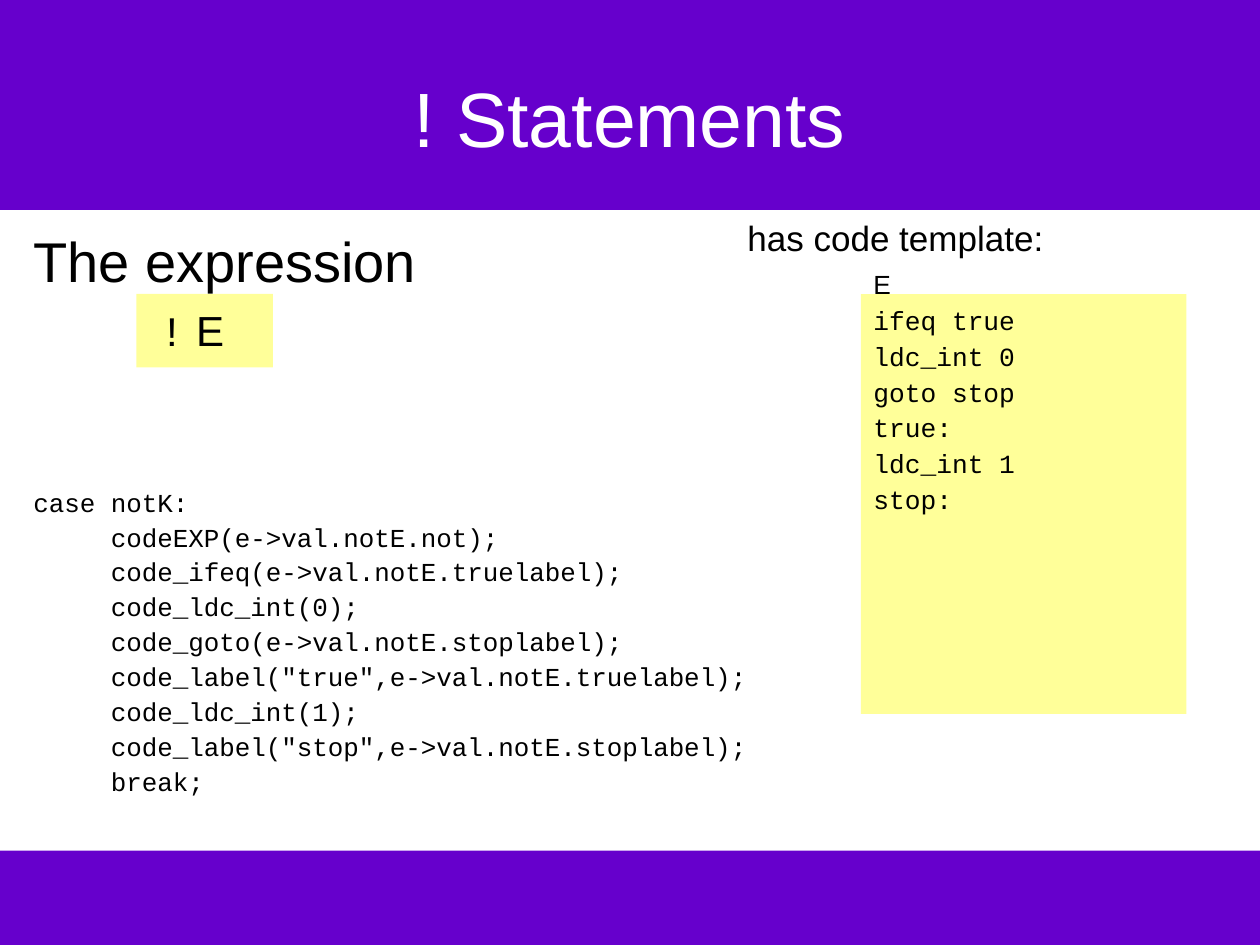
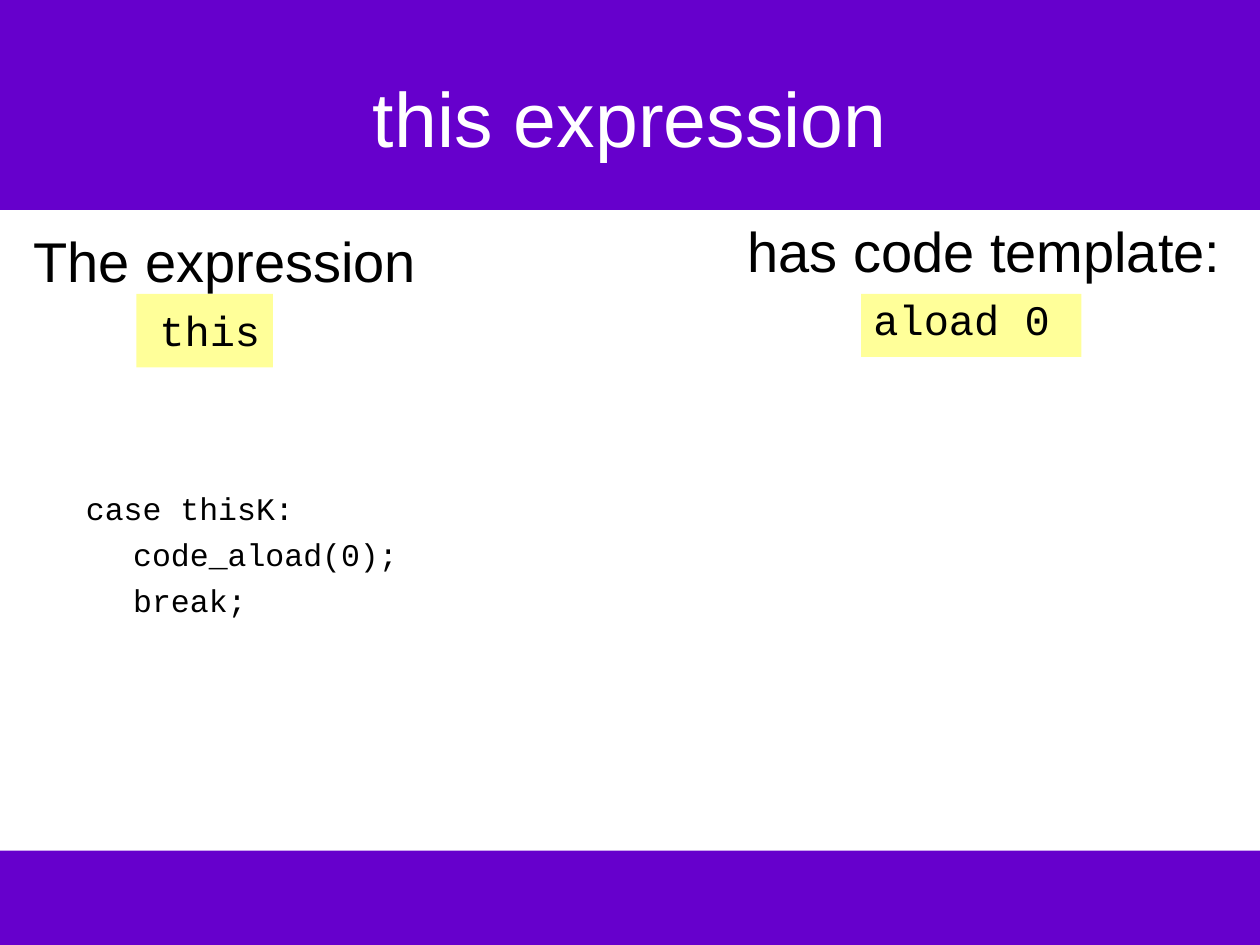
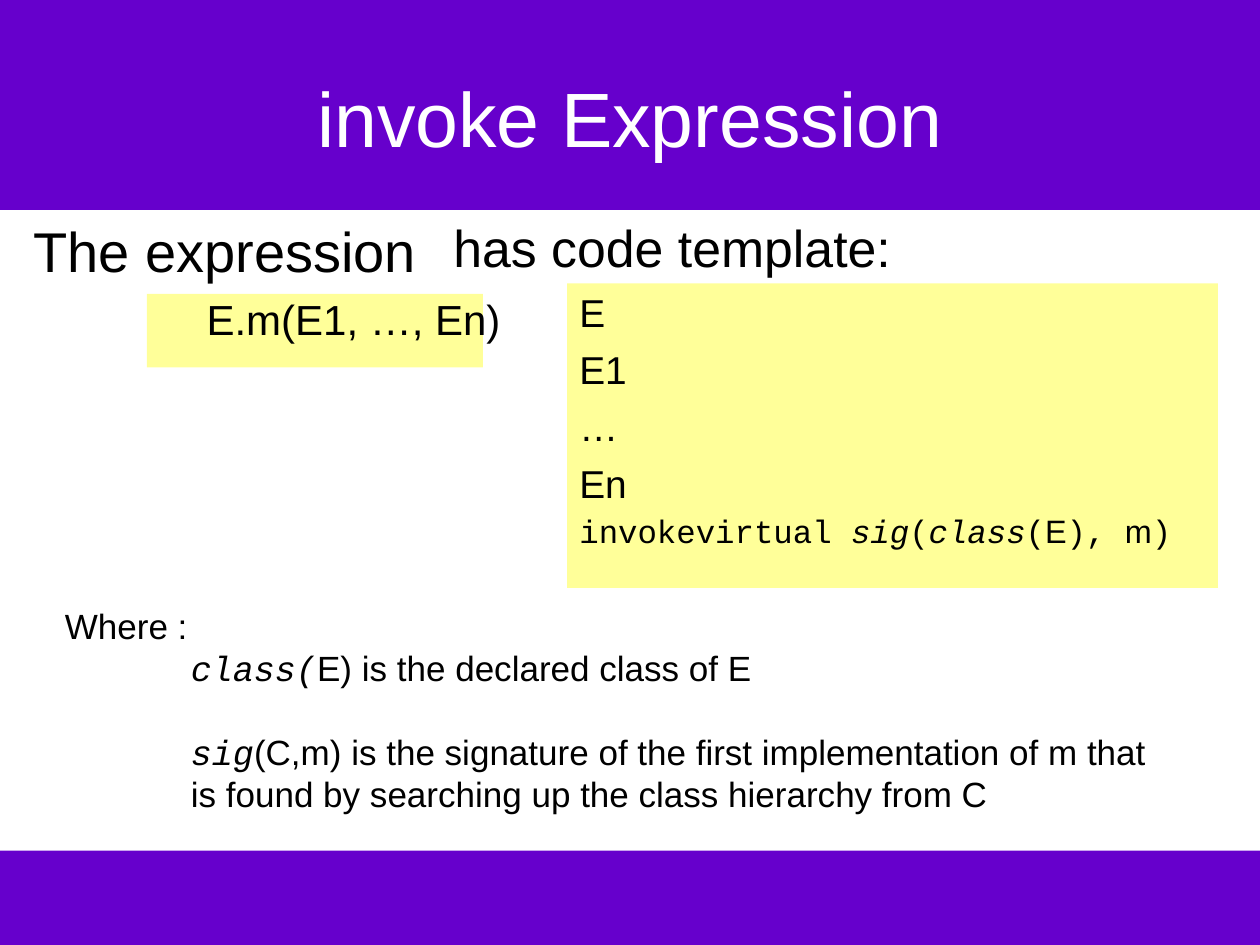
from dataclasses import dataclass

import pptx
import pptx.dml.color
import pptx.enum.shapes
import pptx.enum.text
import pptx.util

Pt = pptx.util.Pt

PURPLE = "6600CC"
YELLOW = "FFFF99"
BLACK = "000000"
WHITE = "FFFFFF"
SANS = "Arial"
MONO = "Courier New"
LINE_HEIGHT = 1.2
TEMPLATE_INDENT = 72


@dataclass(frozen=True)
class Box:
    left: float
    top: float
    width: float
    height: float

    def lengths(self) -> tuple:
        return Pt(self.left), Pt(self.top), Pt(self.width), Pt(self.height)


@dataclass(frozen=True)
class Piece:
    text: str
    font: str = SANS
    italic: bool = False


@dataclass(frozen=True)
class Line:
    pieces: tuple[Piece, ...]
    size: float
    before: float = 0
    indent: float = 0
    spacing: float = 1


@dataclass(frozen=True)
class Block:
    box: Box
    lines: list[Line]


@dataclass(frozen=True)
class Page:
    title: str
    panels: list[Box]
    blocks: list[Block]


TOP_BAND = Box(0, 0, 720, 120)
BOTTOM_BAND = Box(0, 486, 720, 54)
TITLE = Box(36, 21.6, 648, 90)
EXPRESSION = Box(12, 126, 318, 356)
TEMPLATE = Box(420, 120, 288, 198)
SHORT_EXPRESSION_PANEL = Box(78, 168, 78, 42)


def heading(text: str, size: float = 32) -> Line:
    return Line((Piece(text),), size)


def nested(pieces: tuple[Piece, ...], size: float, before: float = 6,
           spacing: float = 1) -> Line:
    return Line(pieces, size, before, TEMPLATE_INDENT, spacing)


def code(text: str) -> tuple[Piece, ...]:
    return (Piece(text, MONO),)


NOT_CODE = """case notK:
     codeEXP(e->val.notE.not);
     code_ifeq(e->val.notE.truelabel);
     code_ldc_int(0);
     code_goto(e->val.notE.stoplabel);
     code_label("true",e->val.notE.truelabel);
     code_ldc_int(1);
     code_label("stop",e->val.notE.stoplabel);
     break;""".split("\n")
NOT_TEMPLATE = ["ifeq true", "ldc_int 0", "goto stop", "true:", "ldc_int 1", "stop:"]

INVOKE = (
    Piece("invokevirtual ", MONO), Piece("sig", MONO, True), Piece("(", MONO),
    Piece("class", MONO, True), Piece("(", MONO), Piece("E"),
    Piece("), ", MONO), Piece("m"), Piece(")", MONO),
)

PAGES = [
    Page(
        "! Statements",
        [Box(492, 168, 186, 240), SHORT_EXPRESSION_PANEL],
        [
            Block(TEMPLATE, [
                heading("has code template:", 20),
                nested((Piece("E"),), 15),
                *(nested(code(text), 15, spacing=0.8) for text in NOT_TEMPLATE),
            ]),
            Block(EXPRESSION, [
                heading("The expression"),
                nested((Piece("!", MONO), Piece(" E")), 24),
            ]),
            Block(Box(12, 276, 522, 204), [
                Line(code(text), 14.8, 4 if row else 0, spacing=0.9)
                for row, text in enumerate(NOT_CODE)
            ]),
        ],
    ),
    Page(
        "this expression",
        [Box(492, 168, 126, 36), SHORT_EXPRESSION_PANEL],
        [
            Block(TEMPLATE, [heading("has code template:"), nested(code("aload 0"), 24)]),
            Block(EXPRESSION, [heading("The expression"), nested(code("this"), 24)]),
            Block(Box(42, 276, 522, 204), [
                Line(code("case thisK:"), 18),
                *(Line(code(text), 18, 4.5, 27) for text in ("code_aload(0);", "break;")),
            ]),
        ],
    ),
    Page(
        "invoke Expression",
        [Box(84, 168, 192, 42), Box(324, 162, 372, 174)],
        [
            Block(Box(12, 120, 318, 356), [
                heading("The expression"),
                Line((Piece("E.m(E1, …, En)"),), 24, 6, 99),
            ]),
            Block(Box(252, 120, 468, 198), [
                heading("has code template:", 29.6),
                *(nested((Piece(text),), 22.2) for text in ("E", "E1", "…", "En")),
                nested(INVOKE, 18.5, 5, 0.9),
            ]),
            Block(Box(30, 342, 660, 127.4), [
                heading("Where :", 20),
                Line((Piece("class(", MONO, True),
                      Piece("E) is the declared class of E")), 20, 0, 72),
                Line((Piece("sig", MONO, True),
                      Piece("(C,m) is the signature of the first implementation of m that")),
                     20, 24, 72),
                Line((Piece("is found by searching up the class hierarchy from C"),), 20, 0, 72),
            ]),
        ],
    ),
]


def rgb(value: str) -> pptx.dml.color.RGBColor:
    return pptx.dml.color.RGBColor.from_string(value)


def apply(target, values: dict) -> None:
    for name, value in values.items():
        setattr(target, name, value)


def add_panel(slide, box: Box, color: str):
    panel = slide.shapes.add_shape(pptx.enum.shapes.MSO_SHAPE.RECTANGLE, *box.lengths())
    panel.shadow.inherit = False
    panel.fill.solid()
    panel.fill.fore_color.rgb = rgb(color)
    panel.line.fill.background()
    return panel


def add_bands(slide, layout) -> None:
    """Draw the bands on a slide and move them behind everything on its layout."""
    for band in (TOP_BAND, BOTTOM_BAND):
        layout.shapes._spTree.insert(2, add_panel(slide, band, PURPLE)._element)


def write_line(paragraph, line: Line, color: str) -> None:
    apply(paragraph, {
        "space_before": Pt(line.before),
        "space_after": Pt(0),
        "line_spacing": Pt(round(line.size * LINE_HEIGHT * line.spacing, 1)),
    })
    properties = paragraph._p.get_or_add_pPr()
    properties.set("marL", str(Pt(line.indent)))
    properties.set("indent", "0")
    for piece in line.pieces:
        run = paragraph.add_run()
        run.text = piece.text
        apply(run.font, {"name": piece.font, "size": Pt(line.size), "italic": piece.italic})
        run.font.color.rgb = rgb(color)


def write_title(slide, text: str) -> None:
    title = slide.shapes.title
    apply(title, dict(zip(("left", "top", "width", "height"), TITLE.lengths())))
    apply(title.text_frame, {
        "word_wrap": True,
        "auto_size": pptx.enum.text.MSO_AUTO_SIZE.NONE,
        "vertical_anchor": pptx.enum.text.MSO_ANCHOR.MIDDLE,
    })
    paragraph = title.text_frame.paragraphs[0]
    write_line(paragraph, heading(text, 44), WHITE)
    paragraph.alignment = pptx.enum.text.PP_ALIGN.CENTER


def add_block(slide, block: Block) -> None:
    frame = slide.shapes.add_textbox(*block.box.lengths()).text_frame
    frame.word_wrap = True
    for row, line in enumerate(block.lines):
        write_line(frame.add_paragraph() if row else frame.paragraphs[0], line, BLACK)


def main() -> None:
    deck = pptx.Presentation()
    deck.slide_width, deck.slide_height = Pt(720), Pt(540)
    layout = deck.slide_layouts.get_by_name("Title Only")
    for number, page in enumerate(PAGES):
        slide = deck.slides.add_slide(layout)
        if number == 0:
            add_bands(slide, layout)
        write_title(slide, page.title)
        for panel in page.panels:
            add_panel(slide, panel, YELLOW)
        for block in page.blocks:
            add_block(slide, block)
    deck.save("out.pptx")


if __name__ == "__main__":
    main()
